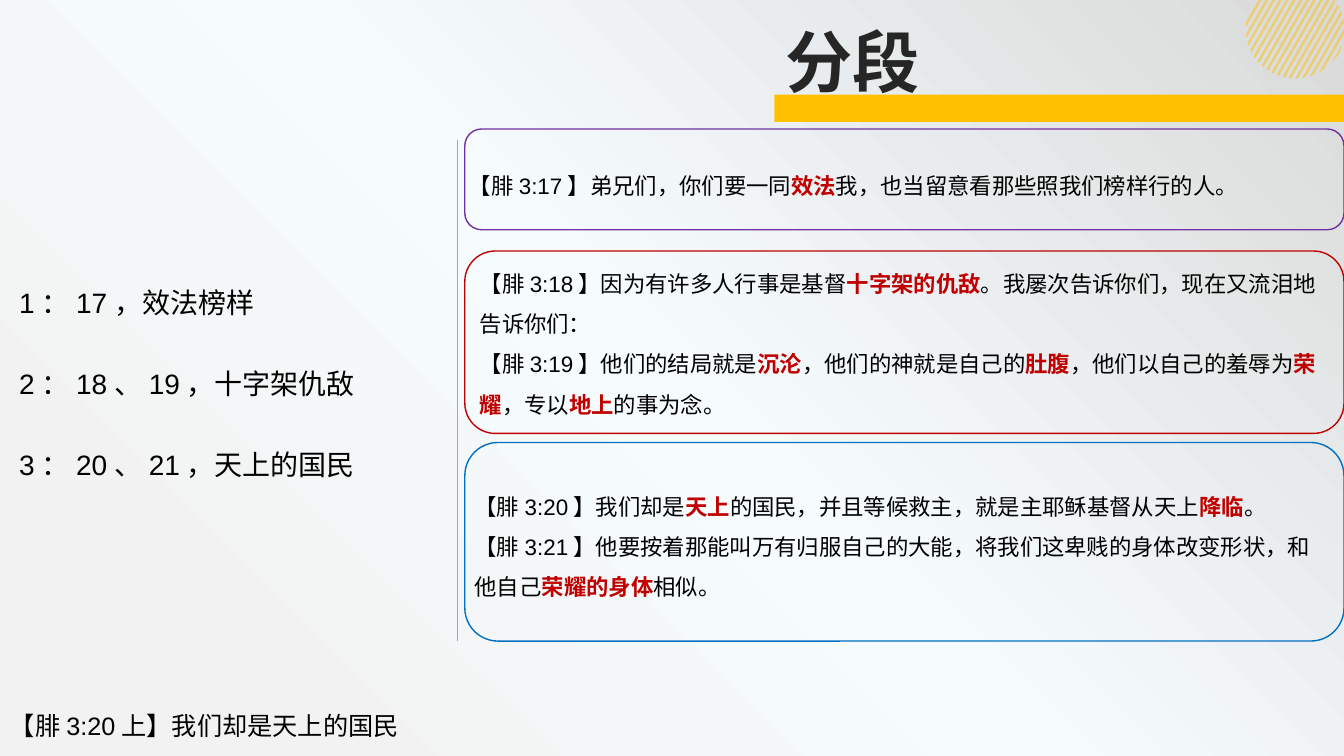
import math

import lxml.etree
import pptx
import pptx.dml.color
import pptx.enum.lang
import pptx.enum.shapes
import pptx.enum.text
import pptx.oxml.ns
import pptx.util

WIDTH, HEIGHT = 13.33, 7.5
INK, ACCENT, GOLD = "000000", "C00000", "FFC000"
BACKDROP = [(15, "F2F2F2"), (50, "F6FCFE"), (100, "D9D9D9")]

TITLE = "分段"
OUTLINE = ["1：17，效法榜样", "2：18、19，十字架仇敌", "3：20、21，天上的国民"]
KEY_VERSE = "【腓3:20上】我们却是天上的国民"

# Words between asterisks are emphasised.
CARDS = [
    {"color": "7030A0", "top": 1.28, "height": 1.0,
     "text_area": (4.58, 1.32, 8.72, 0.9), "inset": 0.07,
     "verses": ["【腓3:17】弟兄们，你们要一同*效法*我，也当留意看那些照我们榜样行的人。"]},
    {"color": "C00000", "top": 2.49, "height": 1.81,
     "text_area": (4.66, 2.72, 8.63, 1.25), "inset": 0.1,
     "verses": ["【腓3:18】因为有许多人行事是基督*十字架的仇敌*。我屡次告诉你们，现在又流泪地告诉你们：",
                "【腓3:19】他们的结局就是*沉沦*，他们的神就是自己的*肚腹*，"
                "他们以自己的羞辱为*荣耀*，专以*地上*的事为念。"]},
    {"color": "0070C0", "top": 4.39, "height": 1.97,
     "text_area": (4.61, 4.61, 8.67, 1.49), "inset": 0.1,
     "verses": ["【腓3:20】我们却是*天上*的国民，并且等候救主，就是主耶稣基督从天上*降临*。",
                "【腓3:21】他要按着那能叫万有归服自己的大能，将我们这卑贱的身体改变形状，"
                "和他自己*荣耀的身体*相似。"]},
]
CARD_LEFT, DIVIDER_LEFT = 4.61, 4.54

# Striped disc in the top right corner
DISC_X, DISC_Y, DISC_RADIUS = 12.845, 0.29, 0.49
STRIPES, FIRST_STRIPE, STRIPE_STEP, STRIPE_WIDTH = 17, 12.485, 0.0675, 0.026

inch = pptx.util.Inches
qn = pptx.oxml.ns.qn


def rgb(value):
    return pptx.dml.color.RGBColor.from_string(value)


def paint_backdrop(slide):
    """Radial gradient spreading from the bottom left corner."""
    slide.background.fill.gradient()
    gradient = slide.element.find(".//" + qn("a:gradFill"))
    for child in list(gradient):
        gradient.remove(child)
    stops = lxml.etree.SubElement(gradient, qn("a:gsLst"))
    for share, color in BACKDROP:
        stop = lxml.etree.SubElement(stops, qn("a:gs"), pos=str(share * 1000))
        lxml.etree.SubElement(stop, qn("a:srgbClr"), val=color)
    circle = lxml.etree.SubElement(gradient, qn("a:path"))
    circle.set("path", "circle")
    lxml.etree.SubElement(circle, qn("a:fillToRect"), t="100000", r="100000")


def write(shape, lines, size, color=INK, bold=False, spacing=None, gap=0,
          inset=None, anchor=pptx.enum.text.MSO_ANCHOR.TOP):
    frame = shape.text_frame
    frame.word_wrap = True
    frame.auto_size = pptx.enum.text.MSO_AUTO_SIZE.NONE
    frame.vertical_anchor = anchor
    if inset is not None:
        frame.margin_left = frame.margin_right = inch(inset)
        frame.margin_top = frame.margin_bottom = inch(inset)
    for row, line in enumerate(lines):
        paragraph = frame.add_paragraph() if row else frame.paragraphs[0]
        paragraph.alignment = pptx.enum.text.PP_ALIGN.LEFT
        paragraph.line_spacing = spacing
        paragraph.space_before = pptx.util.Pt(gap if row else 0)
        for part, words in enumerate(line.split("*")):
            emphasised = part % 2 == 1
            run = paragraph.add_run()
            run.text = words
            run.font.name = "Arial"
            run.font.size = pptx.util.Pt(size)
            run.font.bold = bold or emphasised
            run.font.color.rgb = rgb(ACCENT if emphasised else color)
            run.font.language_id = pptx.enum.lang.MSO_LANGUAGE_ID.SIMPLIFIED_CHINESE


def add_text(slide, area, lines, size, **style):
    write(slide.shapes.add_textbox(*map(inch, area)), lines, size, **style)


def fill_gold(shape):
    shape.shadow.inherit = False
    shape.fill.solid()
    shape.fill.fore_color.rgb = rgb(GOLD)
    shape.line.fill.background()


def chord(top_x):
    """Ends of the 60-degree disc chord that meets the slide top at top_x."""
    sin, cos = math.sin(math.pi / 3), math.cos(math.pi / 3)
    distance = (top_x - DISC_X) * sin - DISC_Y * cos
    half = math.sqrt(max(0, DISC_RADIUS ** 2 - distance ** 2))
    foot_x, foot_y = DISC_X + distance * sin, DISC_Y + distance * cos
    return [(inch(foot_x + reach * cos), inch(foot_y - reach * sin))
            for reach in (-half, min(half, foot_y / sin))]


def add_disc(slide):
    for index in range(STRIPES):
        left = FIRST_STRIPE + index * STRIPE_STEP
        corners = chord(left) + chord(left + STRIPE_WIDTH)[::-1]
        builder = slide.shapes.build_freeform(*corners[0])
        builder.add_line_segments(corners[1:], close=True)
        stripe = builder.convert_to_shape()
        fill_gold(stripe)
        tint = stripe.element.spPr.find(".//" + qn("a:srgbClr"))
        lxml.etree.SubElement(tint, qn("a:alpha"), val="50000")


def add_divider(slide):
    x = inch(DIVIDER_LEFT)
    divider = slide.shapes.add_connector(
        pptx.enum.shapes.MSO_CONNECTOR.STRAIGHT, x, inch(1.39), x, inch(6.36))
    divider.line.color.rgb = rgb("A6A6A6")
    divider.line.width = pptx.util.Pt(0.5)
    lxml.etree.SubElement(divider.element.spPr, qn("a:effectLst"))


def add_card(slide, card):
    frame = slide.shapes.add_shape(
        pptx.enum.shapes.MSO_SHAPE.ROUNDED_RECTANGLE, inch(CARD_LEFT), inch(card["top"]),
        inch(WIDTH - CARD_LEFT), inch(card["height"]))
    frame.shadow.inherit = False
    frame.fill.background()
    frame.line.color.rgb = rgb(card["color"])
    frame.line.width = pptx.util.Pt(1)
    add_text(slide, card["text_area"], card["verses"], 16, spacing=1.5,
             inset=card["inset"], anchor=pptx.enum.text.MSO_ANCHOR.MIDDLE)


def main():
    deck = pptx.Presentation()
    deck.slide_width, deck.slide_height = inch(WIDTH), inch(HEIGHT)
    slide = deck.slides.add_slide(deck.slide_layouts[5])
    paint_backdrop(slide)

    title = slide.shapes.title
    title.left, title.top, title.width, title.height = map(inch, (7.69, 0.15, 4.6, 0.91))
    write(title, [TITLE], 48, color="262626", bold=True)

    add_disc(slide)
    fill_gold(slide.shapes.add_shape(
        pptx.enum.shapes.MSO_SHAPE.RECTANGLE, *map(inch, (7.68, 0.94, WIDTH - 7.68, 0.27))))
    add_text(slide, (0.09, 2.72, 4.45, 2.1), OUTLINE, 20, spacing=1.2, gap=29)
    add_divider(slide)
    for card in CARDS:
        add_card(slide, card)
    add_text(slide, (0, 7, 13.24, 0.4), [KEY_VERSE], 18)
    deck.save("out.pptx")


if __name__ == "__main__":
    main()
